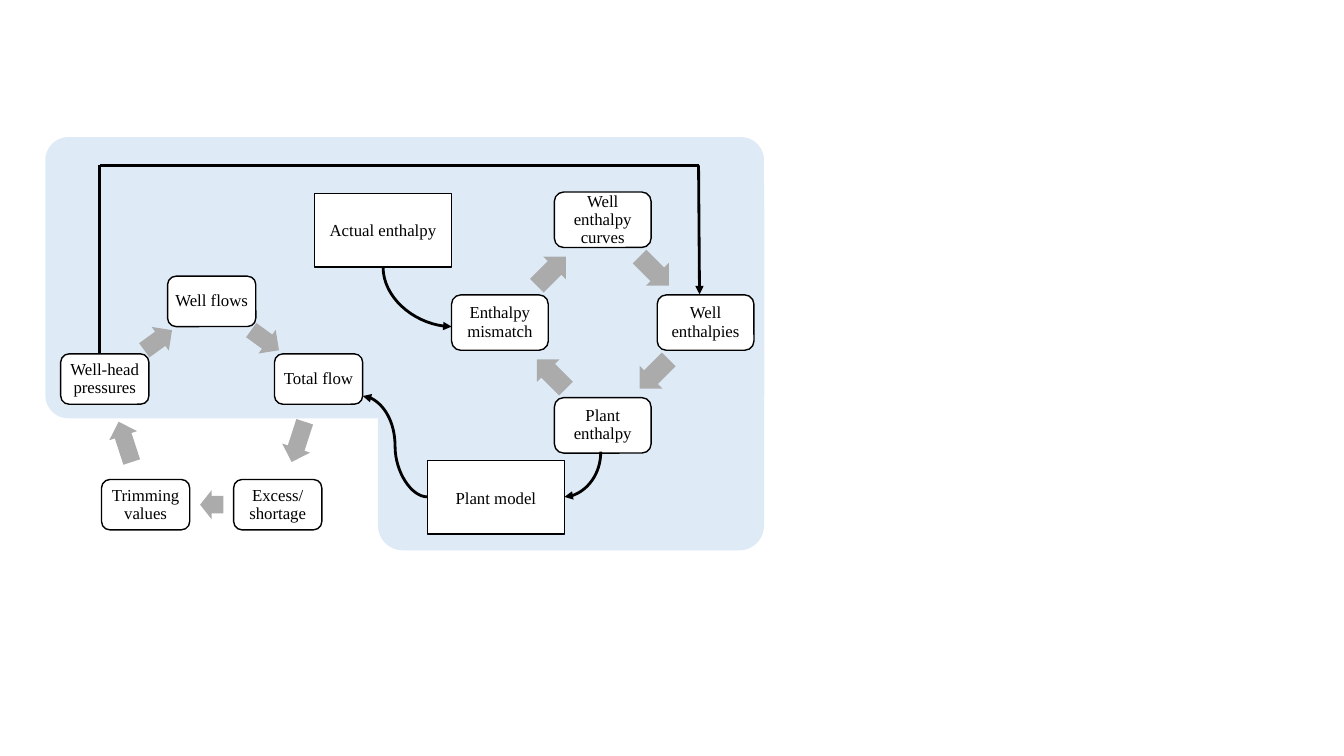
import math

from lxml import etree
from pptx import Presentation
from pptx import util as u
from pptx.dml.color import RGBColor
from pptx.enum import shapes, text
from pptx.oxml import ns

GRID = u.Inches(0.1)
COLUMNS, ROWS = 133.33, 75
PANEL_BLUE = RGBColor(0xDE, 0xEB, 0xF7)
ARROW_GREY = RGBColor(0xAB, 0xAB, 0xAB)
BLACK = RGBColor(0, 0, 0)
WHITE = RGBColor(0xFF, 0xFF, 0xFF)
FONT = "Times New Roman"
KIND = shapes.MSO_SHAPE
LINK = shapes.MSO_CONNECTOR


def cells(*counts):
    return [u.Emu(round(count * GRID)) for count in counts]


def add_block(slide, kind, box, fill, adjustments=()):
    shape = slide.shapes.add_shape(kind, *cells(*box))
    shape.shadow.inherit = False
    shape.fill.solid()
    shape.fill.fore_color.rgb = fill
    shape.line.fill.background()
    for index, value in enumerate(adjustments):
        shape.adjustments[index] = value
    return shape


def add_label(shape, label, spacing=1.0):
    shape.line.color.rgb = BLACK
    shape.line.width = u.Pt(1)
    frame = shape.text_frame
    frame.word_wrap = True
    frame.vertical_anchor = text.MSO_ANCHOR.MIDDLE
    frame.text = label
    for paragraph in frame.paragraphs:
        paragraph.alignment = text.PP_ALIGN.CENTER
        paragraph.line_spacing = spacing
        for run in paragraph.runs:
            run.font.name = FONT
            run.font.size = u.Pt(12)
            run.font.color.rgb = BLACK


def add_node(slide, center, size, label):
    box = [middle - length / 2 for middle, length in zip(center, size)]
    shape = add_block(slide, KIND.ROUNDED_RECTANGLE, (*box, *size), WHITE, [0.167])
    add_label(shape, label, 0.9)
    frame = shape.text_frame
    frame.margin_left = frame.margin_right = u.Inches(0.02)
    frame.margin_top = frame.margin_bottom = u.Inches(0.02)


def add_cycle(slide, center, radius, node_size, labels, arrow_lengths, arrow_height):
    step = 360 / len(labels)

    def on_ring(angle, distance):
        turn = math.radians(angle)
        return (center[0] + distance * math.sin(turn),
                center[1] - distance * math.cos(turn))

    for index, (label, length) in enumerate(zip(labels, arrow_lengths)):
        add_node(slide, on_ring(index * step, radius), node_size, label)
        angle = (index + 0.5) * step
        x, y = on_ring(angle, radius * math.cos(math.radians(step / 2)))
        box = (x - length / 2, y - arrow_height / 2, length, arrow_height)
        arrow = add_block(slide, KIND.RIGHT_ARROW, box, ARROW_GREY, [0.6, 0.5])
        arrow.rotation = angle


def add_box(slide, box, label):
    add_label(add_block(slide, KIND.RECTANGLE, box, WHITE), label)


def add_link(slide, start, end, kind=LINK.STRAIGHT, arrow=True):
    connector = slide.shapes.add_connector(kind, *cells(*start, *end))
    connector.line.color.rgb = BLACK
    connector.line.width = u.Pt(2)
    properties = connector.element.spPr
    if arrow:
        line = properties.find(ns.qn("a:ln"))
        etree.SubElement(line, ns.qn("a:tailEnd"), type="triangle")
    etree.SubElement(properties, ns.qn("a:effectLst"))
    return connector


def add_quarter_curve(slide, start, end):
    middle_x, middle_y = (start[0] + end[0]) / 2, (start[1] + end[1]) / 2
    half_width = (end[1] - start[1]) / 2
    half_height = abs(end[0] - start[0]) / 2
    turn = 90
    if end[0] > start[0]:
        turn, half_width = 270, -half_width
    connector = add_link(slide, (middle_x - half_width, middle_y - half_height),
                         (middle_x + half_width, middle_y + half_height), LINK.CURVE)
    properties = connector.element.spPr
    properties.find(ns.qn("a:xfrm")).set("rot", str(turn * 60000))
    properties.find(ns.qn("a:prstGeom")).set("prst", "curvedConnector2")


def main():
    presentation = Presentation()
    presentation.slide_width, presentation.slide_height = cells(COLUMNS, ROWS)
    slide = presentation.slides.add_slide(presentation.slide_layouts[6])

    add_block(slide, KIND.ROUNDED_RECTANGLE, (37.5, 15.6, 38.3, 39), PANEL_BLUE, [0.064])
    add_block(slide, KIND.ROUNDED_RECTANGLE, (4.5, 13.6, 71.3, 27.9), PANEL_BLUE, [0.082])

    add_cycle(slide, (21, 41.05), 11.15, (8.75, 5),
              ["Well flows", "Total flow", "Excess/\vshortage",
               "Trimming values", "Well-head pressures"],
              [3.4, 4.2, 2.3, 4.2, 3.4], 2.9)
    add_cycle(slide, (59.8, 32), 10.2, (9.6, 5.5),
              ["Well enthalpy curves", "Well enthalpies",
               "Plant enthalpy", "Enthalpy mismatch"],
              [4.1] * 4, 3.2)

    add_box(slide, (42.4, 45.7, 13.6, 7.3), "Plant model")
    add_box(slide, (31.2, 19.2, 13.6, 7.3), "Actual enthalpy")

    add_quarter_curve(slide, (38, 26.5), (44.8, 32.4))
    add_quarter_curve(slide, (59.6, 44.8), (56, 49.3))
    add_link(slide, (42.4, 49.3), (36, 39.3), LINK.CURVE)

    bend_left, bend_right = (9.9, 16.4), (69.3, 16.4)
    add_link(slide, (9.9, 35.1), bend_left, arrow=False)
    add_link(slide, bend_left, bend_right, arrow=False)
    add_link(slide, bend_right, (69.4, 29.2))

    presentation.save("out.pptx")


main()
